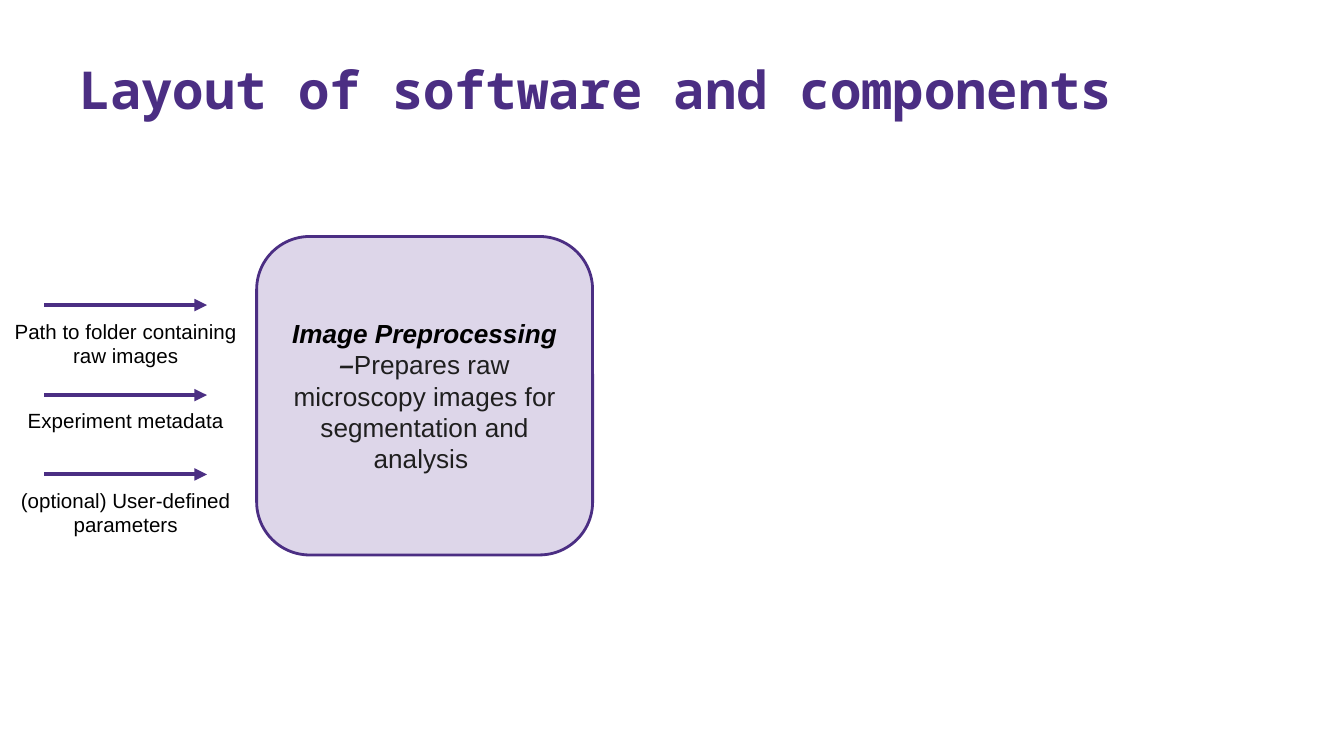
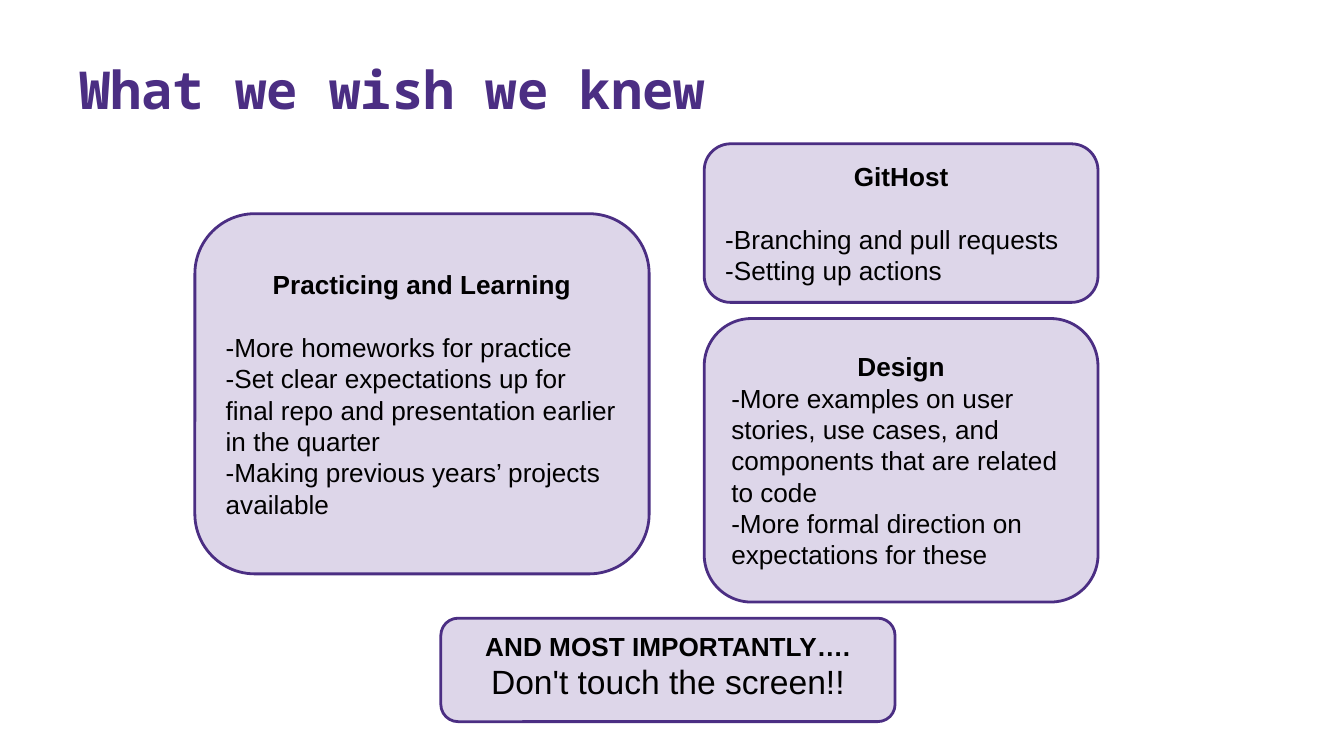
from dataclasses import dataclass

from lxml import etree
from pptx import Presentation
from pptx.dml.color import RGBColor
from pptx.enum import shapes, text
from pptx.oxml import ns
from pptx.util import Inches, Pt


@dataclass(frozen=True)
class Theme:
    purple: RGBColor = RGBColor(0x4B, 0x2E, 0x83)
    tint: RGBColor = RGBColor(0x73, 0x57, 0xA6)
    black: RGBColor = RGBColor(0, 0, 0)
    dark: RGBColor = RGBColor(0x1F, 0x1F, 0x1F)
    alpha: int = 24
    mono: str = "Noto Sans Mono"
    sans: str = "Arial"
    title: int = 28
    large: int = 18
    body: int = 14
    label: int = 11
    gap: int = 17
    border: float = 1.5
    arrow: float = 2.25


T = Theme()
CENTER = text.PP_ALIGN.CENTER
LEFT = text.PP_ALIGN.LEFT


# Text helpers
def style(run, size, color=T.black, bold=False, slant=False, face=T.sans):
    font = run.font
    font.name, font.size = face, Pt(size)
    font.bold, font.italic = bold, slant
    font.color.rgb = color


def inset(frame, side, top, base):
    frame.word_wrap = True
    frame.margin_left = frame.margin_right = Inches(side)
    frame.margin_top, frame.margin_bottom = Inches(top), Inches(base)


def line(frame, words, align, size, first=False, **look):
    para = frame.paragraphs[0] if first else frame.add_paragraph()
    para.text = words
    para.alignment = align
    style(para.runs[0], size, **look)
    return para


# Slide title
def title(slide, words):
    box = slide.shapes.add_textbox(
        Inches(0.49), Inches(0.17), Inches(8.96), Inches(0.77))
    frame = box.text_frame
    inset(frame, 0.1, 0.05, 0.05)
    frame.vertical_anchor = text.MSO_ANCHOR.BOTTOM
    line(frame, words, LEFT, T.title, first=True,
         color=T.purple, bold=True, face=T.mono)


# Tinted rounded card with a bold heading; returns its text frame
def card(slide, area, head, slant=False, gap=0, base=0.1):
    box = slide.shapes.add_shape(
        shapes.MSO_SHAPE.ROUNDED_RECTANGLE, *map(Inches, area))
    box.shadow.inherit = False
    box.fill.solid()
    box.fill.fore_color.rgb = T.tint
    tone = box.fill._xPr.find(".//" + ns.qn("a:srgbClr"))
    etree.SubElement(tone, ns.qn("a:alpha"), val=str(T.alpha * 1000))
    box.line.color.rgb = T.purple
    box.line.width = Pt(T.border)
    frame = box.text_frame
    inset(frame, 0.1, 0.1, base)
    frame.vertical_anchor = text.MSO_ANCHOR.MIDDLE
    para = line(frame, head, CENTER, T.body, first=True,
                bold=True, slant=slant)
    if gap:
        para.space_after = Pt(gap)
    return frame


def points(frame, items):
    for item in items:
        line(frame, item, LEFT, T.body)


# Arrow with its label centred below, grouped
def feed(slide, top, words, left, height):
    group = slide.shapes.add_group_shape()
    arrow = group.shapes.add_connector(
        shapes.MSO_CONNECTOR.STRAIGHT,
        Inches(0.33), Inches(top), Inches(1.54), Inches(top))
    arrow.line.color.rgb = T.purple
    arrow.line.width = Pt(T.arrow)
    etree.SubElement(arrow.line._get_or_add_ln(), ns.qn("a:tailEnd"),
                     type="triangle")
    etree.SubElement(arrow._element.spPr, ns.qn("a:effectLst"))
    box = group.shapes.add_textbox(
        Inches(left), Inches(top), Inches(1.87 - 2 * left), Inches(height))
    frame = box.text_frame
    inset(frame, 0.1, 0.1, 0.1)
    frame.auto_size = text.MSO_AUTO_SIZE.SHAPE_TO_FIT_TEXT
    line(frame, words, CENTER, T.label, first=True)


# Slides
def parts(slide):
    title(slide, "Layout of software and components")
    frame = card(slide, (1.91, 1.76, 2.5, 2.37), "Image Preprocessing",
                 slant=True)
    para = line(frame, "–", CENTER, T.body, color=T.dark,
                bold=True, slant=True)
    run = para.add_run()
    run.text = "Prepares raw microscopy images for segmentation and analysis "
    style(run, T.body, T.dark)
    for top, words, left, height in (
        (2.27, "Path to folder containing raw images", -0.01, 0.54),
        (2.94, "Experiment metadata", 0.08, 0.34),
        (3.53, "(optional) User-defined parameters", -0.01, 0.54),
    ):
        feed(slide, top, words, left, height)


def wishes(slide):
    title(slide, "What we wish we knew")
    for area, head, gap, items in (
        ((5.24, 1.07, 2.93, 1.18), "GitHost", T.gap,
         ("-Branching and pull requests", "-Setting up actions")),
        ((1.45, 1.59, 3.38, 2.68), "Practicing and Learning", T.gap,
         ("-More homeworks for practice",
          "-Set clear expectations up for final repo and presentation "
          "earlier in the quarter",
          "-Making previous years’ projects available")),
        ((5.24, 2.37, 2.93, 2.11), "Design", 0,
         ("-More examples on user stories, use cases, and components "
          "that are related to code",
          "-More formal direction on expectations for these")),
    ):
        points(card(slide, area, head, gap=gap), items)
    frame = card(slide, (3.28, 4.6, 3.38, 0.77), "AND MOST IMPORTANTLY….",
                 base=0.16)
    line(frame, "Don't touch the screen!!", CENTER, T.large)


def main():
    deck = Presentation()
    # Widescreen, 16:9
    deck.slide_width = Inches(10)
    deck.slide_height = deck.slide_width * 9 // 16
    blank = deck.slide_layouts[6]
    for build in (parts, wishes):
        build(deck.slides.add_slide(blank))
    deck.save("out.pptx")


if __name__ == "__main__":
    main()
